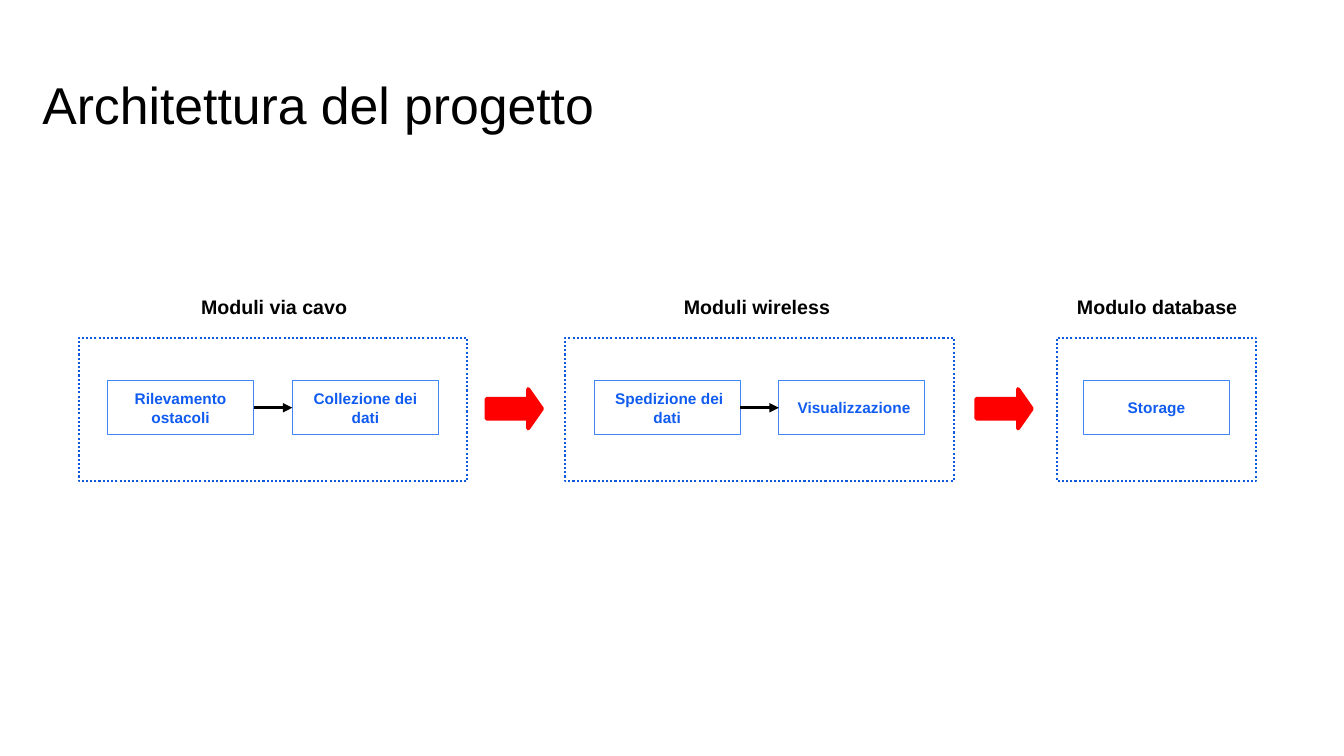
"""Builds the project architecture slide: three module groups joined by arrows."""
import pptx
import pptx.dml.color
import pptx.enum.dml
import pptx.enum.shapes
import pptx.enum.text
import pptx.oxml.ns
import pptx.util
from lxml import etree

WIDTH, HEIGHT = pptx.util.Inches(13.34), pptx.util.Inches(7.5)
COLUMNS, ROWS = 40, 30
COLORS = {"text": "000000", "group": "0D5BDC", "step": "4285F4",
          "step_text": "105BF0", "flow": "FF0000"}
FONT = "Arial"
GROUP_TOP, GROUP_H = 13.4, 5.68
STEP_TOP, STEP_W, STEP_H, STEP_PITCH = 15.12, 4.35, 2.12, 5.5
FLOW_TOP, FLOW_W, FLOW_H = 15.44, 1.65, 1.56
LABEL_TOP, LABEL_W, LABEL_H = 11.52, 5.79, 1.32
GROUPS = [
    ("Moduli via cavo", 8.16, 2.34, 11.57, ["Rilevamento ostacoli", "Collezione dei dati"]),
    ("Moduli wireless", 22.53, 16.82, 11.57, [" Spedizione dei dati", " Visualizzazione"]),
    ("Modulo database", 34.44, 31.45, 5.94, ["Storage"]),
]
FLOW_COLUMNS = [14.48, 29.06]
SHAPES = pptx.enum.shapes.MSO_SHAPE
ALIGN = pptx.enum.text.PP_ALIGN
ANCHOR = pptx.enum.text.MSO_ANCHOR


def rgb(name):
    return pptx.dml.color.RGBColor.from_string(COLORS[name])


def col(n):
    return round(WIDTH * n / COLUMNS)


def row(n):
    return round(HEIGHT * n / ROWS)


def box(left, top, width, height):
    return col(left), row(top), col(width), row(height)


def write(sp, text, size, color, bold=True, align=ALIGN.CENTER, anchor=ANCHOR.TOP):
    tf = sp.text_frame
    tf.word_wrap = True
    tf.vertical_anchor = anchor
    p = tf.paragraphs[0]
    p.alignment = align
    r = p.add_run()
    r.text = text
    r.font.name, r.font.size, r.font.bold = FONT, pptx.util.Pt(size), bold
    r.font.color.rgb = rgb(color)
    return tf


def add_title(s, text):
    sp = s.shapes.add_textbox(*box(0.87, 2.36, 17.27, 3.56))
    tf = write(sp, text, 37, "text", False, ALIGN.LEFT, ANCHOR.BOTTOM)
    tf.paragraphs[0].line_spacing = 0.9
    margin = pptx.util.Inches(0.13)
    tf.margin_left = tf.margin_right = tf.margin_top = tf.margin_bottom = margin


def add_outline(s, kind, area, color, width):
    sp = s.shapes.add_shape(kind, *area)
    sp.shadow.inherit = False
    sp.fill.background()
    sp.line.color.rgb = rgb(color)
    sp.line.width = pptx.util.Pt(width)
    return sp


def add_step(s, text, left):
    area = box(left, STEP_TOP, STEP_W, STEP_H)
    sp = add_outline(s, SHAPES.RECTANGLE, area, "step", 0.75)
    write(sp, text, 11, "step_text", anchor=ANCHOR.MIDDLE)


def add_link(s, start, end):
    y = row(STEP_TOP + STEP_H / 2)
    line = s.shapes.add_connector(
        pptx.enum.shapes.MSO_CONNECTOR.STRAIGHT, col(start), y, col(end), y)
    line.line.color.rgb = rgb("text")
    line.line.width = pptx.util.Pt(2.25)
    ln = line.line._get_or_add_ln()
    etree.SubElement(ln, pptx.oxml.ns.qn("a:tailEnd"), type="triangle")
    etree.SubElement(line._element.spPr, pptx.oxml.ns.qn("a:effectLst"))


def add_group(s, label, center, left, width, steps):
    area = box(left, GROUP_TOP, width, GROUP_H)
    frame = add_outline(s, SHAPES.RECTANGLE, area, "group", 1.5)
    frame.line.dash_style = pptx.enum.dml.MSO_LINE.ROUND_DOT
    caption = s.shapes.add_textbox(
        *box(center - LABEL_W / 2, LABEL_TOP, LABEL_W, LABEL_H))
    write(caption, label, 14, "text")
    first = left + (width - STEP_W - STEP_PITCH * (len(steps) - 1)) / 2
    for i, step in enumerate(steps):
        x = first + i * STEP_PITCH
        add_step(s, step, x)
        if i:
            add_link(s, x - STEP_PITCH + STEP_W, x)


def add_flow(s, left):
    area = box(left, FLOW_TOP, FLOW_W, FLOW_H)
    sp = add_outline(s, SHAPES.RIGHT_ARROW, area, "flow", 2.83)
    sp.fill.solid()
    sp.fill.fore_color.rgb = rgb("flow")
    sp.adjustments[0], sp.adjustments[1] = 0.5, 0.35


def main():
    prs = pptx.Presentation()
    prs.slide_width, prs.slide_height = WIDTH, HEIGHT
    s = prs.slides.add_slide(prs.slide_layouts[6])
    add_title(s, "Architettura del progetto")
    for group in GROUPS:
        add_group(s, *group)
    for left in FLOW_COLUMNS:
        add_flow(s, left)
    prs.save("out.pptx")


if __name__ == "__main__":
    main()
